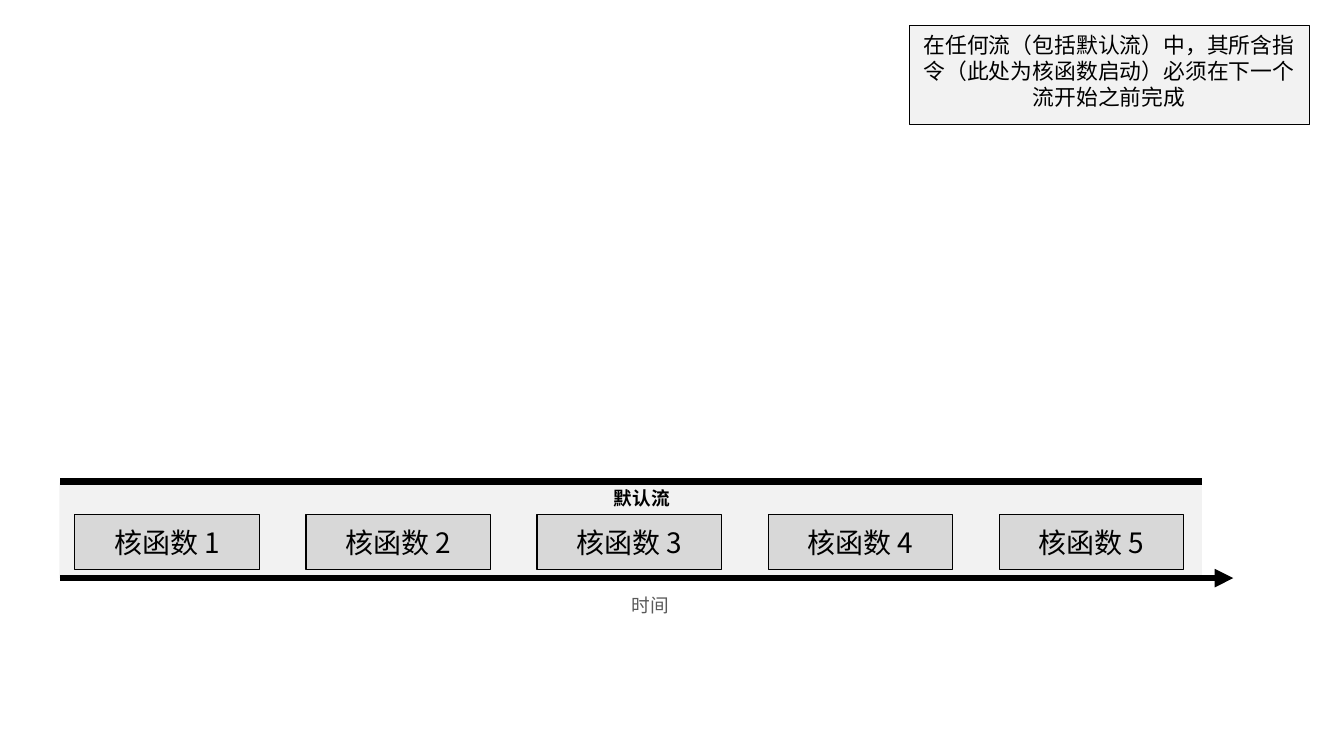
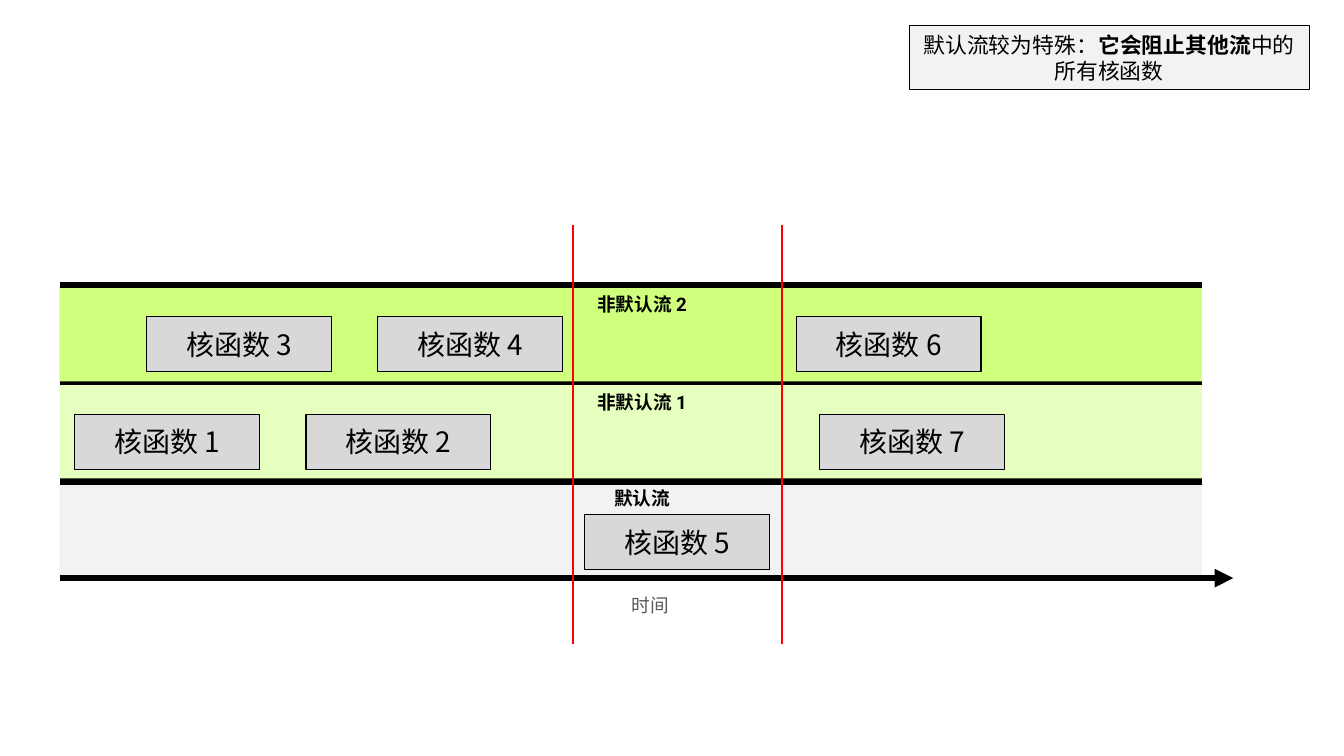
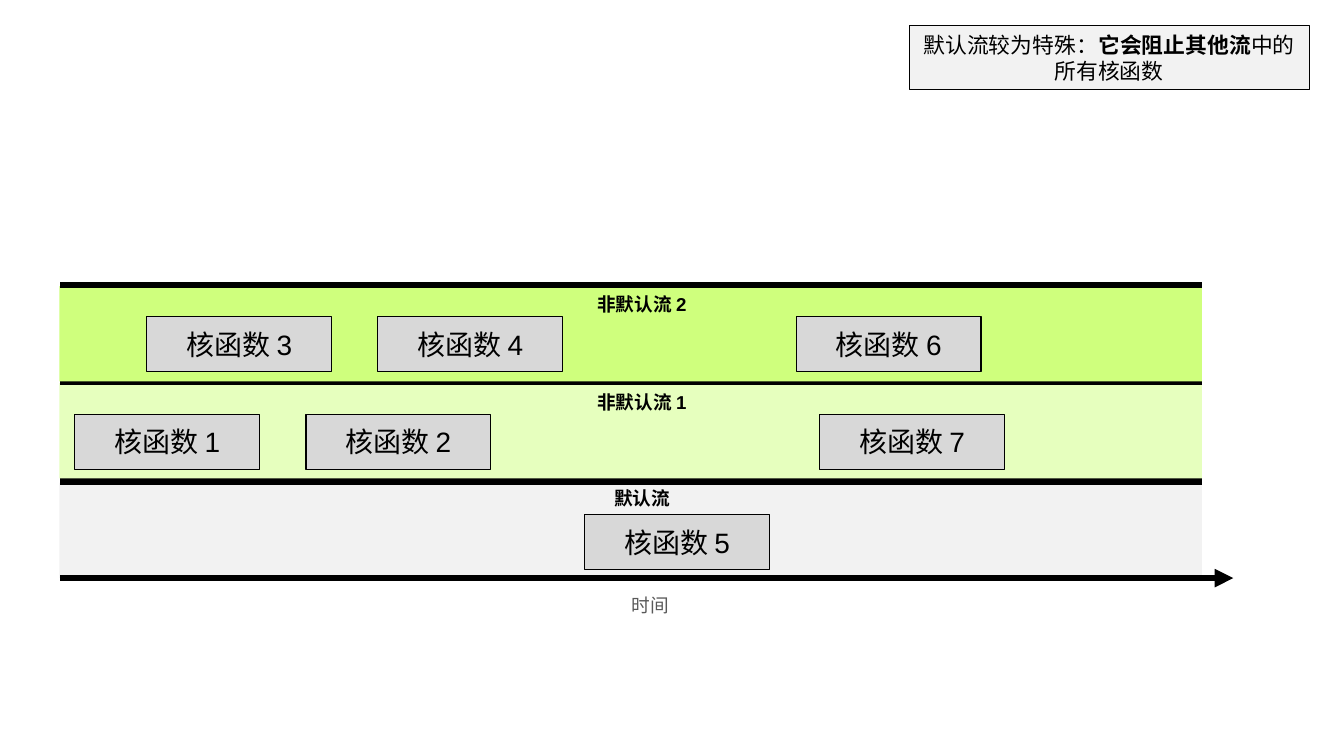
from dataclasses import dataclass

from lxml import etree
from pptx import Presentation
from pptx.dml.color import RGBColor
from pptx.enum.shapes import MSO_CONNECTOR, MSO_SHAPE
from pptx.enum.text import MSO_ANCHOR, MSO_AUTO_SIZE, PP_ALIGN
from pptx.oxml.ns import qn
from pptx.util import Cm, Pt

RECTANGLE = MSO_SHAPE.RECTANGLE
STRAIGHT = MSO_CONNECTOR.STRAIGHT
TOP, MIDDLE, BOTTOM = MSO_ANCHOR.TOP, MSO_ANCHOR.MIDDLE, MSO_ANCHOR.BOTTOM
CENTER = PP_ALIGN.CENTER
NO_AUTOFIT = MSO_AUTO_SIZE.NONE
TITLE_ONLY, BLANK = 5, 6


@dataclass(frozen=True)
class Theme:
    ink: str = "000000"
    muted: str = "595959"
    panel: str = "F2F2F2"
    kernel: str = "D8D8D8"
    stream_1: str = "E6FFBE"
    stream_2: str = "CFFF7D"
    barrier: str = "FF0000"
    label_size: int = 12
    note_size: int = 14
    kernel_size: int = 18
    border: float = 0.75
    barrier_width: float = 1.5
    rail: float = 4
    sans: str = "Arial"
    roboto: str = "Roboto"
    cjk: str = "Noto Sans CJK SC"


THEME = Theme()

# Content: lanes from the time axis upwards (lengths in cm)
DEFAULT, STREAM_1, STREAM_2 = range(3)
LANES = [
    dict(label="默认流", fill=THEME.panel, top=10.95, label_top=11.0, label_width=4.17, kernel_top=11.67),
    dict(label="非默认流 1", fill=THEME.stream_1, top=8.69, label_top=8.81, label_width=5.74, kernel_top=9.4),
    dict(label="非默认流 2", fill=THEME.stream_2, top=6.49, label_top=6.6, label_width=5.74, kernel_top=7.18),
]
TIME_LABEL = "时间"

# Kernels: number, lane, left edge
FIRST_KERNEL, KERNEL_STEP = 1.7, 5.24
SERIAL_KERNELS = [(n + 1, DEFAULT, FIRST_KERNEL + n * KERNEL_STEP) for n in range(5)]
STREAM_KERNELS = [
    (1, STREAM_1, FIRST_KERNEL), (2, STREAM_1, FIRST_KERNEL + KERNEL_STEP),
    (3, STREAM_2, 3.33), (4, STREAM_2, 3.33 + KERNEL_STEP),
    (5, DEFAULT, 13.26), (7, STREAM_1, 18.59), (6, STREAM_2, 18.06),
]

# Notes: (text, bold) runs
ORDER_NOTE = [("在任何流（包括默认流）中，其所含指令（此处为核函数启动）必须在下一个流开始之前完成", False)]
BLOCKING_NOTE = [("默认流较为特殊：", False), ("它会阻止其他流", True), ("中的所有核函数", False)]

SLIDES = [
    dict(lanes=LANES[:1], kernels=SERIAL_KERNELS, barriers=[], titled=False,
         note=ORDER_NOTE, note_height=2.24,
         title_font=THEME.roboto, label_font=THEME.roboto, kernel_font=THEME.cjk),
    dict(lanes=LANES, kernels=STREAM_KERNELS, barriers=[13.0, 17.73], titled=True,
         note=BLOCKING_NOTE, note_height=1.45,
         title_font=THEME.cjk, label_font=THEME.roboto, kernel_font=THEME.cjk),
    dict(lanes=LANES, kernels=STREAM_KERNELS, barriers=[], titled=True,
         note=BLOCKING_NOTE, note_height=1.45,
         title_font=THEME.sans, label_font=THEME.sans, kernel_font=THEME.sans),
]

# Layout (cm)
SLIDE_WIDTH = 30.48
BAND_LEFT, BAND_WIDTH, BAND_HEIGHT = 1.35, 25.91, 2.16
RAIL_LEFT, RAIL_RIGHT, RAIL_GAP = 1.37, 27.25, 0.03
AXIS_Y, AXIS_RIGHT = 13.11, 27.97
LABEL_CENTER, LABEL_HEIGHT = 14.56, 0.69
TIME_BOX = (14.0, 13.36, 1.5, 0.76)
KERNEL_WIDTH, KERNEL_HEIGHT = 4.19, 1.24
BARRIER_TOP, BARRIER_BOTTOM = 5.11, 14.6
NOTE_LEFT, NOTE_TOP, NOTE_WIDTH = 20.62, 0.58, 9.07


def color(value):
    return RGBColor.from_string(value)


def write(shape, runs, size, font, ink=THEME.ink, anchor=MIDDLE, spacing=None):
    frame = shape.text_frame
    frame.word_wrap = True
    frame.auto_size = NO_AUTOFIT
    frame.vertical_anchor = anchor
    frame.margin_left = frame.margin_right = Cm(0.25)
    frame.margin_top = frame.margin_bottom = Cm(0.13)
    paragraph = frame.paragraphs[0]
    paragraph.alignment = CENTER
    if spacing:
        paragraph.line_spacing = spacing
    for text, bold in runs:
        run = paragraph.add_run()
        run.text = text
        run.font.size, run.font.bold, run.font.name = Pt(size), bold, font
        run.font.color.rgb = color(ink)
        east_asian = etree.SubElement(run.font._element, qn("a:ea"))
        east_asian.set("typeface", THEME.cjk)


def add_box(slide, box, fill, border=None):
    shape = slide.shapes.add_shape(RECTANGLE, *map(Cm, box))
    shape.shadow.inherit = False
    shape.fill.solid()
    shape.fill.fore_color.rgb = color(fill)
    if border:
        shape.line.color.rgb = color(THEME.ink)
        shape.line.width = Pt(border)
    else:
        shape.line.fill.background()
    return shape


def add_line(slide, start, end, ink, width, arrow=False):
    connector = slide.shapes.add_connector(STRAIGHT, *map(Cm, start + end))
    connector.line.color.rgb = color(ink)
    connector.line.width = Pt(width)
    if arrow:
        etree.SubElement(connector.line._get_or_add_ln(), qn("a:tailEnd")).set("type", "triangle")
    etree.SubElement(connector._element.spPr, qn("a:effectLst"))


def add_label(slide, box, text, font, ink=THEME.ink, bold=True, as_title=False):
    if as_title:
        label = slide.shapes.title
        label.left, label.top, label.width, label.height = map(Cm, box)
        # Bring the title in front of its lane
        slide.shapes._spTree.append(label._element)
    else:
        label = slide.shapes.add_textbox(*map(Cm, box))
    write(label, [(text, bold)], THEME.label_size, font, ink, BOTTOM, 0.9)


def add_lane(slide, lane, font, as_title):
    add_box(slide, (BAND_LEFT, lane["top"], BAND_WIDTH, BAND_HEIGHT), lane["fill"])
    rail_y = lane["top"] - RAIL_GAP
    add_line(slide, (RAIL_LEFT, rail_y), (RAIL_RIGHT, rail_y), THEME.ink, THEME.rail)
    width = lane["label_width"]
    box = (LABEL_CENTER - width / 2, lane["label_top"], width, LABEL_HEIGHT)
    add_label(slide, box, lane["label"], font, as_title=as_title)


def build_slide(deck, content):
    layout = TITLE_ONLY if content["titled"] else BLANK
    slide = deck.slides.add_slide(deck.slide_layouts[layout])

    # Lanes and time axis
    for index, lane in enumerate(content["lanes"]):
        is_default = index == DEFAULT
        font = content["title_font" if is_default else "label_font"]
        add_lane(slide, lane, font, is_default and content["titled"])
    add_line(slide, (RAIL_LEFT, AXIS_Y), (AXIS_RIGHT, AXIS_Y), THEME.ink, THEME.rail, arrow=True)
    add_label(slide, TIME_BOX, TIME_LABEL, content["label_font"], THEME.muted, bold=False)

    # Kernels
    for number, lane, left in content["kernels"]:
        box = (left, LANES[lane]["kernel_top"], KERNEL_WIDTH, KERNEL_HEIGHT)
        kernel = add_box(slide, box, THEME.kernel, THEME.border)
        write(kernel, [(f"核函数 {number}", False)], THEME.kernel_size, content["kernel_font"])

    # Barriers around the default stream
    for x in content["barriers"]:
        add_line(slide, (x, BARRIER_TOP), (x, BARRIER_BOTTOM), THEME.barrier, THEME.barrier_width)

    # Note
    note_box = (NOTE_LEFT, NOTE_TOP, NOTE_WIDTH, content["note_height"])
    note = add_box(slide, note_box, THEME.panel, THEME.border)
    write(note, content["note"], THEME.note_size, THEME.sans, anchor=TOP)


def main():
    deck = Presentation()
    deck.slide_width = Cm(SLIDE_WIDTH)
    deck.slide_height = Cm(SLIDE_WIDTH * 9 / 16)
    for content in SLIDES:
        build_slide(deck, content)
    deck.save("out.pptx")


if __name__ == "__main__":
    main()
